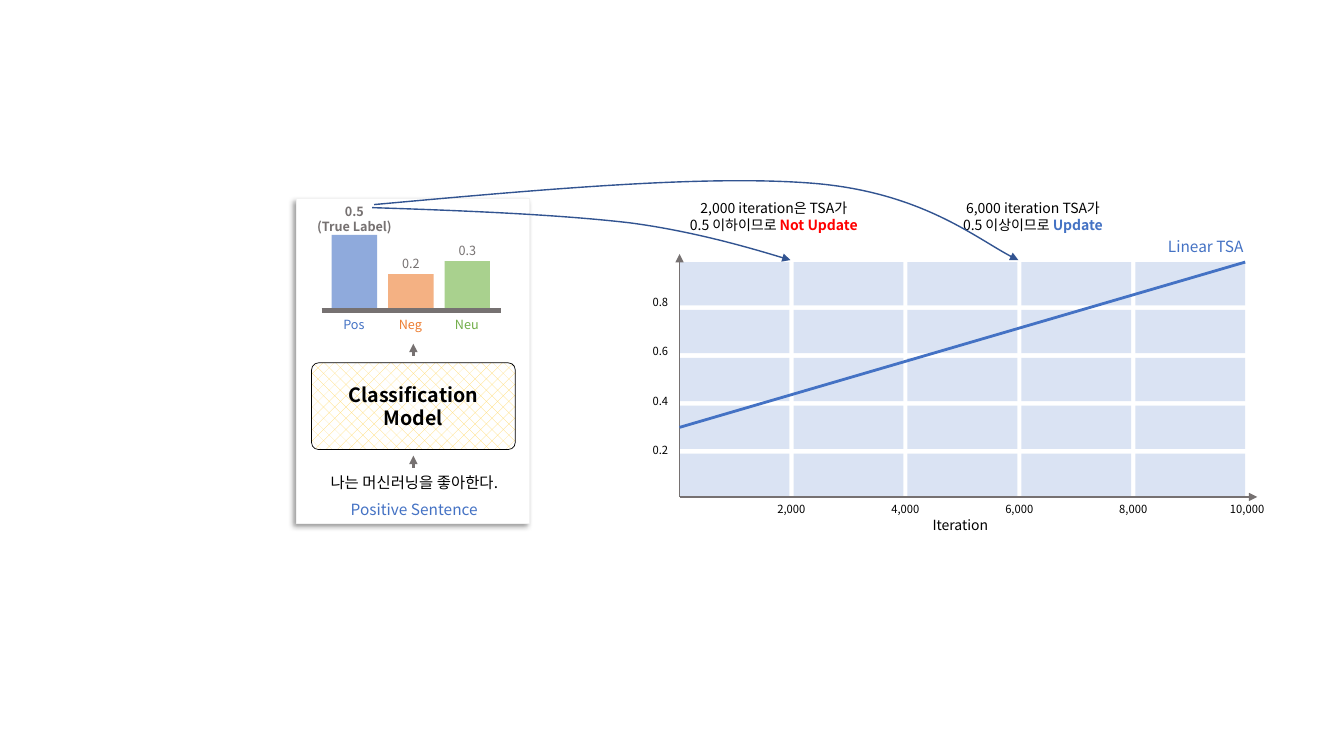
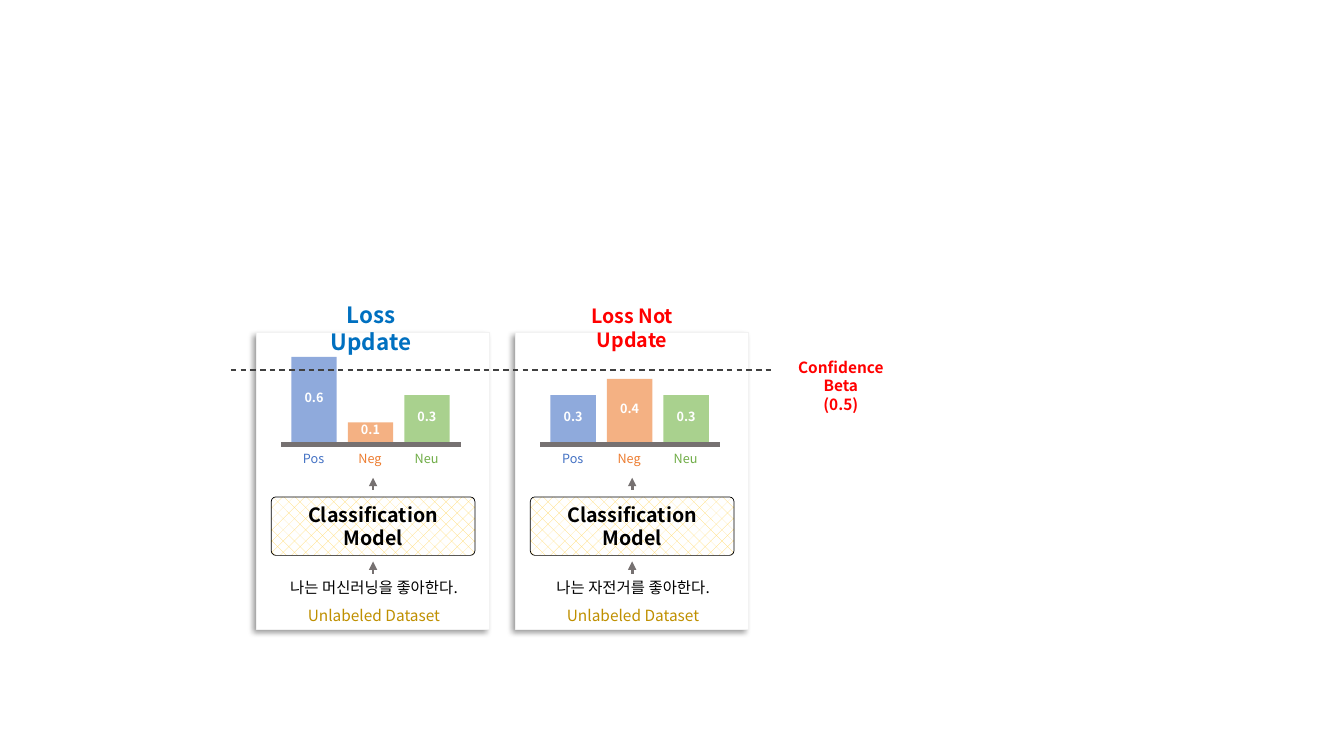
from lxml.etree import SubElement
from pptx import Presentation
from pptx.dml.color import RGBColor
from pptx.enum.dml import MSO_LINE, MSO_PATTERN
from pptx.enum.shapes import MSO_CONNECTOR, MSO_SHAPE
from pptx.enum.text import MSO_ANCHOR, PP_ALIGN
from pptx.oxml.ns import qn
from pptx.util import Inches, Pt

FONT = "Noto Sans CJK KR"
HUES = {
    "black": "000000", "white": "FFFFFF", "gray": "767171", "edge": "F2F2F2",
    "dark": "404040", "blue": "4472C4", "orange": "ED7D31", "green": "70AD47",
    "sky": "8FAADC", "peach": "F4B183", "lime": "A9D18E", "pale": "DAE3F3",
    "navy": "325491", "red": "FF0000", "gold": "BF9000", "sun": "FFD966",
    "azure": "0070C0",
}
RGB = {name: RGBColor.from_string(code) for name, code in HUES.items()}


def write(shape, size, tint, *rows, bold=False, wrap=True, tail=None):
    """Fill a shape with centred rows; tail is a bold (words, tint) closing the last."""
    frame = shape.text_frame
    frame.word_wrap = wrap
    for i, row in enumerate(rows):
        para = frame.paragraphs[0] if i == 0 else frame.add_paragraph()
        para.alignment = PP_ALIGN.CENTER
        runs = [(row, tint, bold)]
        if tail and i == len(rows) - 1:
            runs.append((*tail, True))
        for words, hue, heavy in runs:
            run = para.add_run()
            run.text = words
            run.font.size = Pt(size)
            run.font.name = FONT
            run.font.bold = heavy
            run.font.color.rgb = RGB[hue]
            SubElement(run.font._element, qn("a:ea"), typeface=FONT)


def stroke(shape, tint, width, arrow=False, dash=False):
    """Style a line without a shadow, with an optional arrowhead at its end."""
    shape.line.color.rgb = RGB[tint]
    shape.line.width = Pt(width)
    if dash:
        shape.line.dash_style = MSO_LINE.DASH
    props = shape._element.spPr
    if arrow:
        SubElement(props.find(qn("a:ln")), qn("a:tailEnd"), type="triangle")
    SubElement(props, qn("a:effectLst"))


deck = Presentation()
deck.slide_width, deck.slide_height = Inches(13.33), Inches(7.5)
blank = deck.slide_layouts[6]
first = deck.slides.add_slide(blank).shapes
second = deck.slides.add_slide(blank).shapes

# Model cards: shapes, left, top, height, base line, bars, sentence, caption
LIKE = "나는 머신러닝을 좋아한다."
cards = [
    (first, 2.94, 1.97, 3.22, 3.08, [("0.5", 0.75), ("0.2", 0.36), ("0.3", 0.49)],
     LIKE, "Positive Sentence", "blue"),
    (second, 2.54, 3.3, 2.94, 4.41, [("0.6", 0.87), ("0.1", 0.22), ("0.3", 0.49)],
     LIKE, "Unlabeled Dataset", "gold"),
    (second, 5.11, 3.3, 2.94, 4.41, [("0.3", 0.49), ("0.4", 0.65), ("0.3", 0.49)],
     "나는 자전거를 좋아한다.", "Unlabeled Dataset", "gold"),
]
kinds = [("Pos", "sky", "blue"), ("Neg", "peach", "orange"), ("Neu", "lime", "green")]

for shapes, left, top, high, base, bars, words, note, tint in cards:
    mid, foot = left + 1.17, top + high

    # Panel with a soft shadow
    panel = shapes.add_shape(MSO_SHAPE.RECTANGLE, Inches(left), Inches(top),
                             Inches(2.31), Inches(high))
    panel.fill.solid()
    panel.fill.fore_color.rgb = RGB["white"]
    stroke(panel, "edge", 0.25)
    glow = SubElement(panel._element.spPr.find(qn("a:effectLst")), qn("a:outerShdw"),
                      blurRad=str(Pt(4)), dist=str(Pt(3)), dir=str(135 * 60000),
                      algn="tr", rotWithShape="0")
    shade = SubElement(glow, qn("a:srgbClr"), val=HUES["black"])
    SubElement(shade, qn("a:alpha"), val="40000")

    # Model box
    model = shapes.add_shape(MSO_SHAPE.ROUNDED_RECTANGLE, Inches(left + 0.15),
                             Inches(base + 0.52), Inches(2.02),
                             Inches(foot - 0.73 - base - 0.52))
    model.adjustments[0] = 0.08
    model.fill.patterned()
    model.fill.pattern = MSO_PATTERN.PERCENT_25
    model.fill.fore_color.rgb = RGB["sun"]
    model.fill.back_color.rgb = RGB["white"]
    stroke(model, "black", 0.5)
    model.text_frame.vertical_anchor = MSO_ANCHOR.MIDDLE
    write(model, 14, "black", "Classification", "Model", bold=True)

    # Arrows into and out of the model
    for tip in (base + 0.33, foot - 0.67):
        arrow = shapes.add_connector(MSO_CONNECTOR.STRAIGHT, Inches(mid - 0.01),
                                     Inches(tip + 0.12), Inches(mid - 0.01), Inches(tip))
        stroke(arrow, "gray", 2, arrow=True)

    # Bars with labels and values
    for i, ((name, fill, ink), (value, tall)) in enumerate(zip(kinds, bars)):
        start = left + 0.35 + 0.56 * i
        bar = shapes.add_shape(MSO_SHAPE.RECTANGLE, Inches(start), Inches(base - tall),
                               Inches(0.45), Inches(tall))
        bar.shadow.inherit = False
        bar.fill.solid()
        bar.fill.fore_color.rgb = RGB[fill]
        bar.line.fill.background()
        tag = shapes.add_textbox(Inches(start - 0.17), Inches(base + 0.01),
                                 Inches(0.78), Inches(0.25))
        write(tag, 9, ink, name)
        true = shapes is first and i == 0
        rows = [value, "(True Label)"] if true else [value]
        if shapes is second:
            level = base - tall / 2 - 0.16
        else:
            level = base - tall - (0.36 if true else 0.23)
        mark = shapes.add_textbox(Inches(start - 0.29), Inches(level),
                                  Inches(1.03), Inches(0.25 * len(rows)))
        write(mark, 9, "white" if shapes is second else "gray", *rows,
              bold=true or shapes is second)
    floor = shapes.add_connector(MSO_CONNECTOR.STRAIGHT, Inches(left + 0.25), Inches(base),
                                 Inches(left + 2.03), Inches(base))
    stroke(floor, "gray", 3)

    # Sentence and caption
    for row, drop, hue in ((words, 0.55, "black"), (note, 0.28, tint)):
        line = shapes.add_textbox(Inches(mid - 0.93), Inches(foot - drop),
                                  Inches(1.86), Inches(0.29))
        write(line, 11, hue, row, wrap=False)

# Slide 1: grid of the schedule plot
for row in range(5):
    for col in range(5):
        cell = first.add_shape(MSO_SHAPE.RECTANGLE, Inches(6.74 + 1.13 * col),
                               Inches(2.6 + 0.475 * row), Inches(1.09), Inches(0.43))
        cell.shadow.inherit = False
        cell.fill.solid()
        cell.fill.fore_color.rgb = RGB["pale"]
        cell.line.fill.background()

# Slide 1: axes and the linear schedule
for ends, tint, width, tip in [
    ((6.74, 4.93, 6.74, 2.52), "gray", 1, True),
    ((6.74, 4.93, 12.47, 4.93), "gray", 1, True),
    ((6.74, 4.24, 12.35, 2.6), "blue", 2, False),
]:
    axis = first.add_connector(MSO_CONNECTOR.STRAIGHT, *map(Inches, ends))
    stroke(axis, tint, width, arrow=tip)

# Slide 1: axis labels
for i in range(1, 6):
    tick = first.add_textbox(Inches(6.3 + 1.13 * i), Inches(4.93), Inches(0.84), Inches(0.29))
    write(tick, 8, "black", f"{2000 * i:,}")
for i in range(1, 5):
    tick = first.add_textbox(Inches(6.27), Inches(4.84 - 0.49 * i), Inches(0.56), Inches(0.29))
    write(tick, 8, "black", f"{0.2 * i:.1f}")
name = first.add_textbox(Inches(8.93), Inches(5.08), Inches(1.19), Inches(0.24))
write(name, 10, "black", "Iteration")
name = first.add_textbox(Inches(11.48), Inches(2.3), Inches(0.96), Inches(0.29))
write(name, 11, "blue", "Linear TSA", wrap=False)

# Slide 1: remarks above the plot
for left, head, body, tail in [
    (6.71, "2,000 iteration은 TSA가", "0.5 이하이므로 ", ("Not Update", "red")),
    (9.28, "6,000 iteration TSA가", "0.5 이상이므로 ", ("Update", "blue")),
]:
    remark = first.add_textbox(Inches(left), Inches(1.93), Inches(1.93), Inches(0.44))
    write(remark, 10, "black", head, body, tail=tail)

# Slide 1: curved arrows, each point triple becoming one Bézier segment
for start, *knots in [
    [(3.69, 2.06), (4.62, 2.09), (5.55, 2.13), (6.24, 2.21),
     (6.93, 2.3), (7.84, 2.58), (7.84, 2.58)],
    [(3.71, 2.03), (5.36, 1.88), (7.01, 1.73), (8.08, 1.82),
     (9.14, 1.91), (9.75, 2.42), (10.1, 2.58)],
]:
    draft = first.build_freeform(Inches(start[0]), Inches(start[1]))
    draft.add_line_segments([(Inches(x), Inches(y)) for x, y in knots], close=False)
    curve = draft.convert_to_shape()
    curve.fill.background()
    stroke(curve, "navy", 1, arrow=True)
    trace = curve._element.find(".//" + qn("a:path"))
    legs = trace.findall(qn("a:lnTo"))
    for i in range(0, len(legs), 3):
        bend = SubElement(trace, qn("a:cubicBezTo"))
        for leg in legs[i:i + 3]:
            bend.append(leg[0])
            trace.remove(leg)

# Slide 2: threshold line and headings
limit = second.add_connector(MSO_CONNECTOR.STRAIGHT, Inches(2.29), Inches(3.67),
                             Inches(7.67), Inches(3.67))
stroke(limit, "dark", 1, dash=True)
for at, size, tint, rows in [
    ((7.69, 3.5, 1.3, 0.47), 11, "red", ["Confidence Beta", "(0.5)"]),
    ((2.98, 2.94, 1.4, 0.37), 16, "azure", ["Loss Update"]),
    ((5.43, 2.97, 1.68, 0.34), 14, "red", ["Loss Not Update"]),
]:
    title = second.add_textbox(*map(Inches, at))
    write(title, size, tint, *rows, bold=True)

deck.save("out.pptx")
